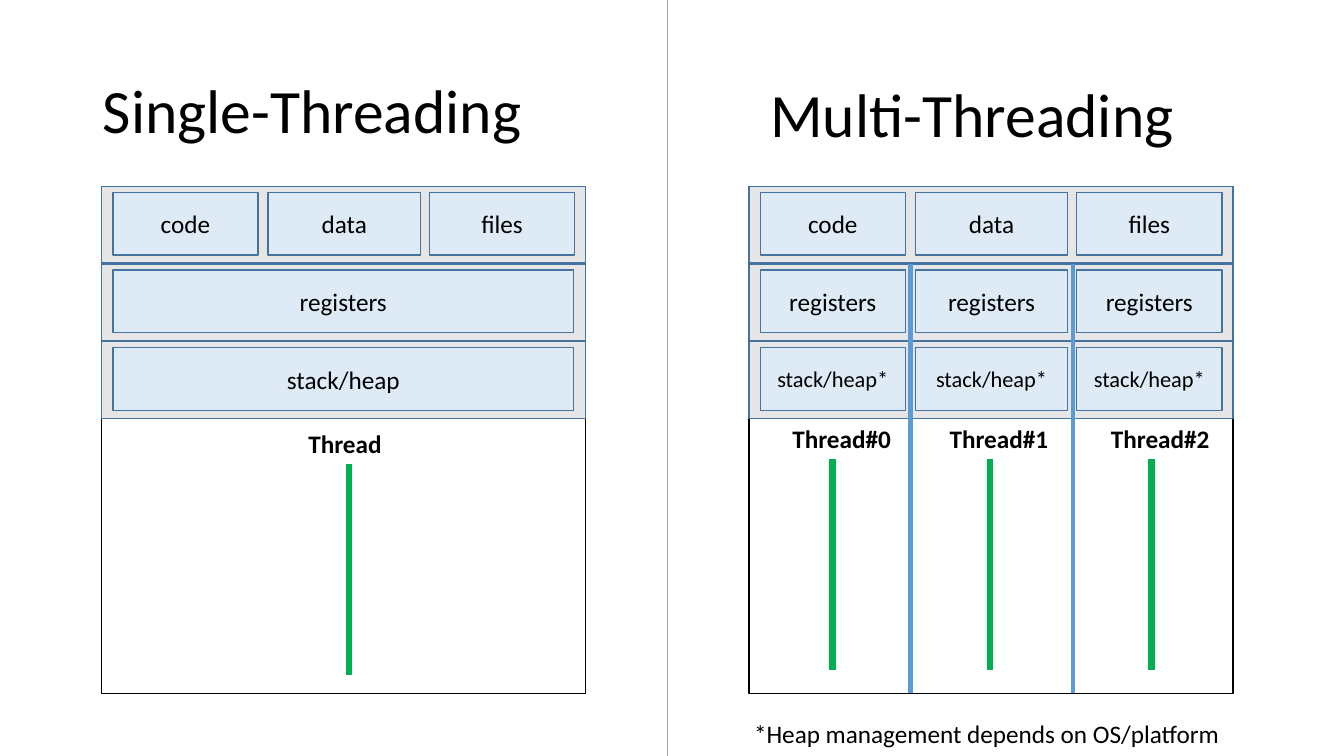
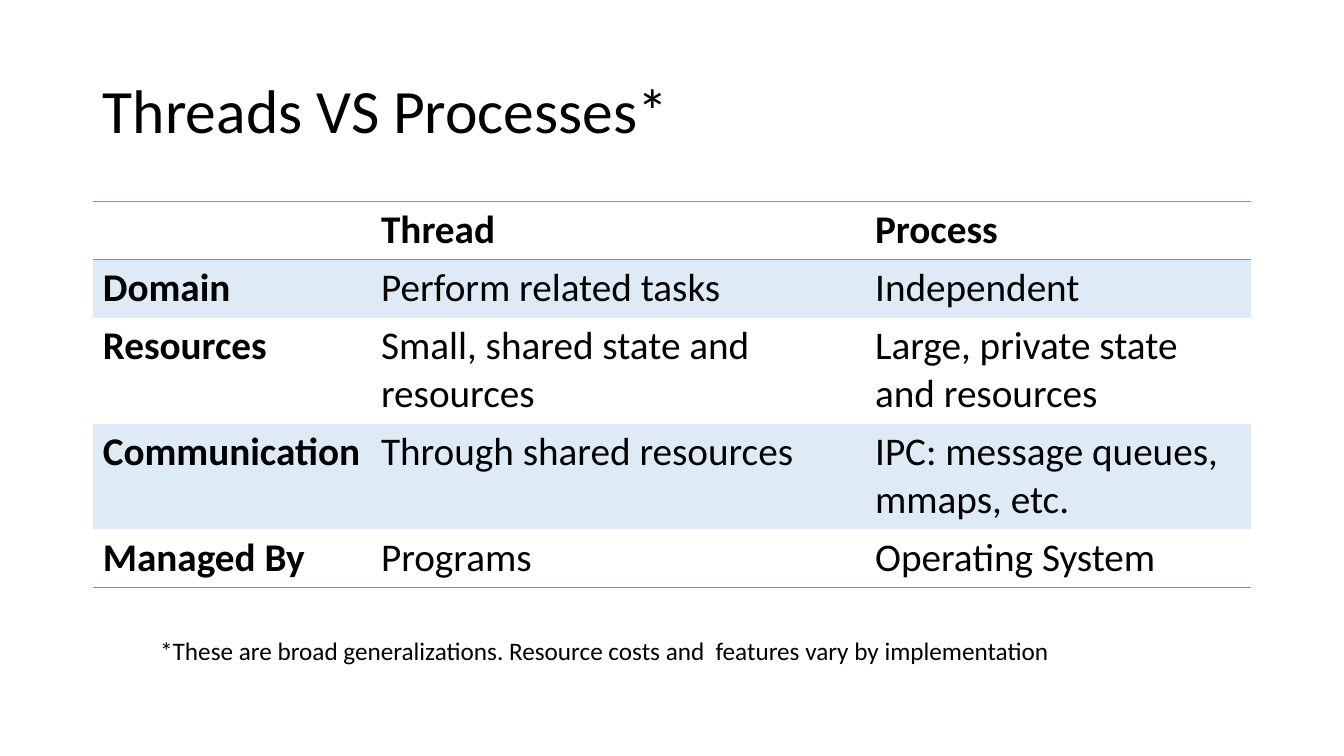
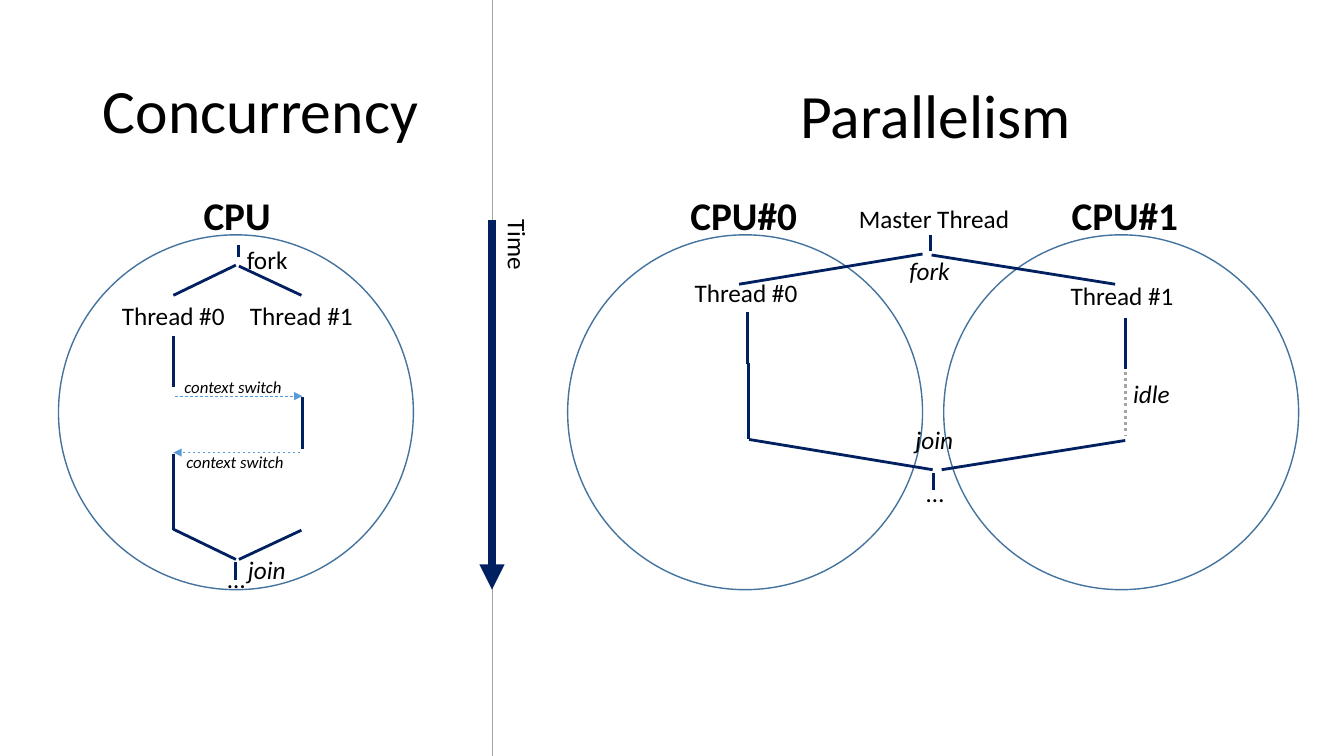
from dataclasses import dataclass

from pptx import Presentation
from pptx.dml.color import RGBColor
from pptx.enum.dml import MSO_LINE
from pptx.enum.shapes import MSO_CONNECTOR, MSO_SHAPE
from pptx.enum.text import MSO_ANCHOR, MSO_AUTO_SIZE, PP_ALIGN
from pptx.oxml import parse_xml
from pptx.oxml.ns import nsdecls, qn
from pptx.util import Inches, Pt

RECT, OVAL = MSO_SHAPE.RECTANGLE, MSO_SHAPE.OVAL
DASH, DOT = MSO_LINE.DASH, MSO_LINE.ROUND_DOT
LEFT, CENTER = PP_ALIGN.LEFT, PP_ALIGN.CENTER
TOP, MIDDLE = MSO_ANCHOR.TOP, MSO_ANCHOR.MIDDLE
GROW, FIXED = MSO_AUTO_SIZE.SHAPE_TO_FIT_TEXT, MSO_AUTO_SIZE.NONE
PLAIN = "{2D5ABB26-0587-4C30-8999-92F81FD0307C}"


@dataclass(frozen=True)
class Theme:
    font: str = "Calibri"
    ink: str = "000000"
    paper: str = "FFFFFF"
    band: str = "E7E6E6"
    pale: str = "DEEBF7"
    edge: str = "43739E"
    blue: str = "5B9BD5"
    navy: str = "002060"
    green: str = "00B050"
    gray: str = "A5A5A5"
    title: int = 44
    head: int = 28
    body: int = 18
    small: int = 16
    note: int = 12


theme = Theme()


def draw(slide, kind, at, text="", size=theme.body, bold=False, italic=False,
         fill=theme.paper, edge=theme.edge):
    box = [Inches(n) for n in at]
    if kind == "title":
        shape = slide.shapes.title
        shape.left, shape.top, shape.width, shape.height = box
    elif kind in ("heading", "label"):
        shape = slide.shapes.add_textbox(*box)
    else:
        shape = slide.shapes.add_shape(kind, *box)
        shape.shadow.inherit = False
        shape.fill.solid()
        shape.fill.fore_color.rgb = RGBColor.from_string(fill)
        shape.line.color.rgb = RGBColor.from_string(edge)
        shape.line.width = Pt(1)
    if text:
        frame = shape.text_frame
        frame.word_wrap = kind != "label"
        frame.auto_size = GROW if kind == "label" else FIXED
        frame.vertical_anchor = TOP if kind == "label" else MIDDLE
        para = frame.paragraphs[0]
        para.alignment = CENTER if kind in (RECT, OVAL) else LEFT
        if kind in ("title", "heading"):
            para.line_spacing = 0.9
            size = theme.title
        run = para.add_run()
        run.text = text
        run.font.name = theme.font
        run.font.size = Pt(size)
        run.font.bold = bold
        run.font.italic = italic
        run.font.color.rgb = RGBColor.from_string(theme.ink)
    return shape


def link(slide, ends, color=theme.navy, width=2.25, dash=None, tip=False):
    line = slide.shapes.add_connector(MSO_CONNECTOR.STRAIGHT, *[Inches(n) for n in ends])
    line.line.color.rgb = RGBColor.from_string(color)
    line.line.width = Pt(width)
    if dash:
        line.line.dash_style = dash
    if tip:
        line.line._get_or_add_ln().append(
            parse_xml(f'<a:tailEnd {nsdecls("a")} type="triangle"/>'))
    line._element.spPr.append(parse_xml(f'<a:effectLst {nsdecls("a")}/>'))


deck = Presentation()
deck.slide_width, deck.slide_height = Inches(13.33), Inches(7.5)
layout = deck.slide_layouts[5]

# Threading
slide = deck.slides.add_slide(layout)
draw(slide, "title", (0.92, 0.4, 4.78, 1.45), "Single-Threading")
draw(slide, "heading", (7.54, 0.44, 4.78, 1.45), "Multi-Threading")
link(slide, (6.62, 0, 6.62, 7.5), theme.gray, 0.5)

thirds = [(0.11, 1.44), (1.65, 1.51), (3.25, 1.44)]
whole = [(0.11, 4.57)]
shared = ["code", "data", "files"]
panels = [
    (1.01, [shared, ["registers"], ["stack/heap"]]),
    (7.43, [shared, ["registers"] * 3, ["stack/heap*"] * 3]),
]
for left, bands in panels:
    draw(slide, RECT, (left, 1.85, 4.8, 5.03), edge=theme.ink)
    for row, names in enumerate(bands):
        top = 1.85 + row * 0.77
        draw(slide, RECT, (left, top, 4.8, 0.76), fill=theme.band)
        for (shift, width), name in zip(thirds if len(names) == 3 else whole, names):
            size = theme.small if name.endswith("*") else theme.body
            draw(slide, RECT, (left + shift, top + 0.06, width, 0.62), name, size,
                 fill=theme.pale)

for x in (9.03, 10.64):
    link(slide, (x, 2.62, x, 6.88), theme.blue, 3)
threads = [
    ("Thread", 3.46, 4.2, 0.93),
    ("Thread#0", 8.26, 4.15, 1.19),
    ("Thread#1", 9.82, 4.15, 1.19),
    ("Thread#2", 11.42, 4.15, 1.19),
]
for name, x, top, width in threads:
    draw(slide, "label", (x - 0.5, top, width, 0.4), name, bold=True)
    link(slide, (x, top + 0.4, x, top + 2.5), theme.green, 4.75)
draw(slide, "label", (7.38, 7.08, 4.88, 0.4), "*Heap management depends on OS/platform")

# Comparison
slide = deck.slides.add_slide(layout)
draw(slide, "title", (0.92, 0.4, 11.5, 1.45), "Threads VS Processes*")
rows = [
    ("", "Thread", "Process"),
    ("Domain", "Perform related tasks", "Independent"),
    ("Resources", "Small, shared state and resources", "Large, private state and resources"),
    ("Communication", "Through shared resources", "IPC: message queues, mmaps, etc."),
    ("Managed By", "Programs", "Operating System"),
]
table = slide.shapes.add_table(
    len(rows), 3, Inches(0.92), Inches(2), Inches(11.5), Inches(3.77)).table
table._tbl.tblPr.find(qn("a:tableStyleId")).text = PLAIN
for col, width in zip(table.columns, (2.76, 4.9, 3.83)):
    col.width = Inches(width)
for row, height in zip(table.rows, (0.57, 0.57, 1.03, 1.03, 0.57)):
    row.height = Inches(height)
for r, words in enumerate(rows):
    sides = {0: ("lnT", "lnB"), len(rows) - 1: ("lnB",)}.get(r, ())
    for c, word in enumerate(words):
        cell = table.cell(r, c)
        for side in sides:
            cell._tc.get_or_add_tcPr().append(parse_xml(
                f'<a:{side} {nsdecls("a")} w="12700"><a:solidFill>'
                f'<a:srgbClr val="{theme.blue}"/></a:solidFill></a:{side}>'))
        if r % 2:
            cell.fill.solid()
            cell.fill.fore_color.rgb = RGBColor.from_string(theme.pale)
        else:
            cell.fill.background()
        if word:
            run = cell.text_frame.paragraphs[0].add_run()
            run.text = word
            run.font.name = theme.font
            run.font.size = Pt(theme.head)
            run.font.bold = r == 0 or c == 0
            run.font.color.rgb = RGBColor.from_string(theme.ink)
draw(slide, "label", (1.49, 6.25, 9.12, 0.4),
     "*These are broad generalizations. Resource costs and  features vary by implementation")

# Concurrency
slide = deck.slides.add_slide(layout)
draw(slide, "title", (0.92, 0.4, 6.05, 1.45), "Concurrency")
draw(slide, "heading", (7.84, 0.45, 2.98, 1.45), "Parallelism")
link(slide, (4.88, 0, 4.88, 7.5), theme.gray, 0.5)
link(slide, (4.88, 2.18, 4.88, 5.85), width=6, tip=True)
draw(slide, "label", (4.78, 2.23, 0.71, 0.4), "Time").rotation = 90

cores = [("CPU", 0.58, 1.92, 0.88), ("CPU#0", 5.63, 6.75, 1.27), ("CPU#1", 9.36, 10.53, 1.27)]
for name, left, start, width in cores:
    draw(slide, OVAL, (left, 2.33, 3.52, 3.52))
    draw(slide, "label", (start, 1.85, width, 0.57), name, theme.head, bold=True)

labels = [
    ("Thread #0", 1.11, 2.93, 1.23, False),
    ("Thread #1", 2.38, 2.93, 1.23, False),
    ("Thread #0", 6.79, 2.7, 1.23, False),
    ("Thread #1", 10.52, 2.73, 1.23, False),
    ("Master Thread", 8.42, 1.97, 1.71, False),
    ("fork", 2.35, 2.37, 0.61, False),
    ("fork", 8.92, 2.48, 0.61, True),
    ("join", 2.36, 5.45, 0.59, True),
    ("join", 8.98, 4.16, 0.59, True),
    ("idle", 11.14, 3.7, 0.58, True),
    ("…", 2.16, 5.54, 0.38, False),
    ("…", 9.09, 4.69, 0.38, False),
]
for name, left, top, width, slant in labels:
    draw(slide, "label", (left, top, width, 0.4), name, italic=slant)

runs = [
    (1.72, 3.33, 3.84), (1.72, 4.5, 5.26), (3, 3.94, 4.45), (2.34, 5.58, 5.75),
    (7.41, 3.1, 3.61), (7.42, 3.6, 4.36), (11.16, 3.15, 3.66),
    (9.26, 4.69, 4.86), (9.23, 2.33, 2.49),
]
for x, start, end in runs:
    link(slide, (x, start, x, end))
link(slide, (2.37, 2.43, 2.37, 2.6), dash=DASH)
link(slide, (11.16, 3.69, 11.16, 4.33), theme.gray, dash=DOT)

arms = [
    (1.72, 2.93, 2.34, 2.63), (2.99, 2.93, 2.37, 2.64),
    (1.72, 5.25, 2.34, 5.55), (2.99, 5.26, 2.37, 5.55),
    (7.33, 2.82, 9.15, 2.52), (11.06, 2.82, 9.24, 2.53),
    (7.43, 4.36, 9.25, 4.66), (11.16, 4.37, 9.34, 4.66),
]
for ends in arms:
    link(slide, ends, width=2)

swaps = [((1.74, 3.93, 3, 3.93), 1.73, 3.69), ((2.98, 4.49, 1.72, 4.49), 1.75, 4.43)]
for ends, left, top in swaps:
    link(slide, ends, theme.blue, 0.5, DASH, True)
    draw(slide, "label", (left, top, 1.19, 0.3), "context switch", theme.note, italic=True)

deck.save("out.pptx")
